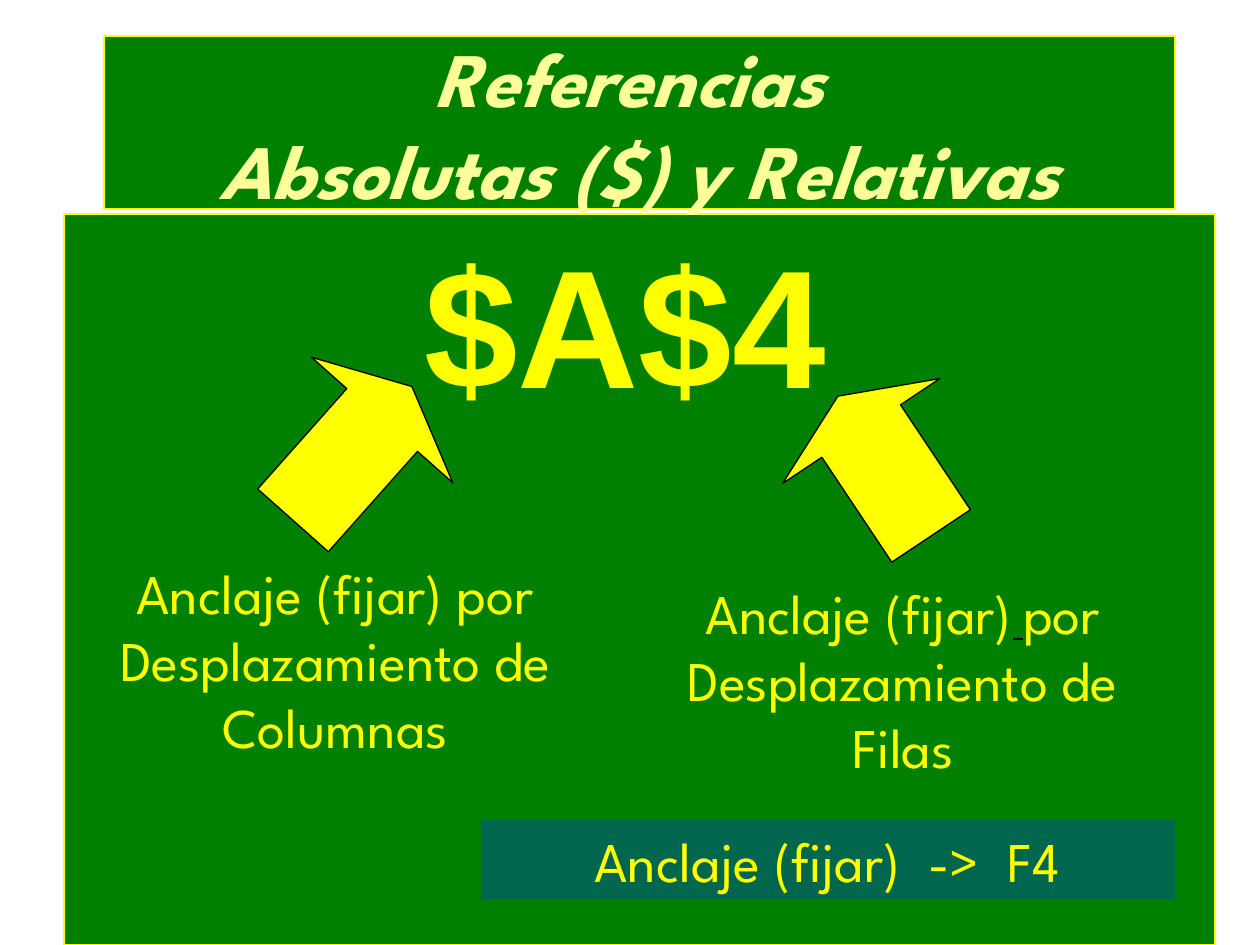
import pptx
import pptx.dml.color
import pptx.enum.shapes
import pptx.enum.text
import pptx.util

PX = 914400 // 126
GREEN, TEAL = "008000", "00664D"
YELLOW, CREAM, BLACK = "FFFF00", "FFFF99", "000000"
DISPLAY = "League Spartan"
SHAPES = pptx.enum.shapes.MSO_SHAPE
ANCHORS = pptx.enum.text.MSO_ANCHOR


def color(value):
    """Turn a hex string into a colour."""
    return pptx.dml.color.RGBColor.from_string(value)


def add_shape(slide, kind, box, fill, line=None):
    """Add a filled preset shape, outlined when a line colour is given."""
    shape = slide.shapes.add_shape(kind, *(length * PX for length in box))
    shape.shadow.inherit = False
    shape.fill.solid()
    shape.fill.fore_color.rgb = color(fill)
    if line:
        shape.line.color.rgb = color(line)
        shape.line.width = pptx.util.Pt(0.75)
    else:
        shape.line.fill.background()
    return shape


def add_arrow(slide, box, rotation):
    """Add a rotated block arrow."""
    arrow = add_shape(slide, SHAPES.UP_ARROW, box, YELLOW, BLACK)
    arrow.adjustments[0] = 0.5
    arrow.adjustments[1] = 0.25
    arrow.rotation = rotation


def format_run(run, size, name=DISPLAY, fill=YELLOW, bold=False, italic=False):
    """Set the font of a run."""
    run.font.size = pptx.util.Pt(size)
    run.font.name = name
    run.font.color.rgb = color(fill)
    run.font.bold = bold
    run.font.italic = italic


def write(shape, text, size, anchor=ANCHORS.TOP, **style):
    """Write one centred paragraph into a shape."""
    frame = shape.text_frame
    frame.word_wrap = True
    frame.vertical_anchor = anchor
    frame.text = text
    paragraph = frame.paragraphs[0]
    paragraph.alignment = pptx.enum.text.PP_ALIGN.CENTER
    for run in paragraph.runs:
        format_run(run, size, **style)
    return paragraph


def add_text(slide, box, text, size, **style):
    """Add a text box holding one centred paragraph."""
    text_box = slide.shapes.add_textbox(*(length * PX for length in box))
    return write(text_box, text, size, **style)


def main():
    """Build and save the slide."""
    presentation = pptx.Presentation()
    presentation.slide_width = 1260 * PX
    presentation.slide_height = 945 * PX
    slide = presentation.slides.add_slide(presentation.slide_layouts[6])

    add_shape(slide, SHAPES.RECTANGLE, (64, 214, 1151, 731), GREEN, YELLOW)
    title = add_shape(slide, SHAPES.RECTANGLE, (104, 36, 1071, 173), GREEN, YELLOW)
    write(title, "Referencias \vAbsolutas ($) y Relativas", 44, ANCHORS.MIDDLE,
          fill=CREAM, bold=True, italic=True)
    add_text(slide, (189, 214, 872, 227), "$A$4", 96, name="Arial", bold=True)

    add_text(slide, (94, 552, 483, 287),
             "Anclaje (fijar) por Desplazamiento de Columnas", 32)
    rows = add_text(slide, (630, 572, 546, 214), "Anclaje (fijar)", 32)
    space = rows.add_run()
    space.text = " "
    format_run(space, 24, "Times New Roman", BLACK)
    space.font.underline = True
    ending = rows.add_run()
    ending.text = "por Desplazamiento de Filas"
    format_run(ending, 32)

    add_arrow(slide, (258, 364, 189, 179), 41.6)
    add_arrow(slide, (790, 382, 189, 168), 326.3)
    shortcut = add_shape(slide, SHAPES.RECTANGLE, (481, 820, 694, 79), TEAL)
    write(shortcut, "Anclaje (fijar)  ->  F4", 32)
    presentation.save("out.pptx")


if __name__ == "__main__":
    main()
